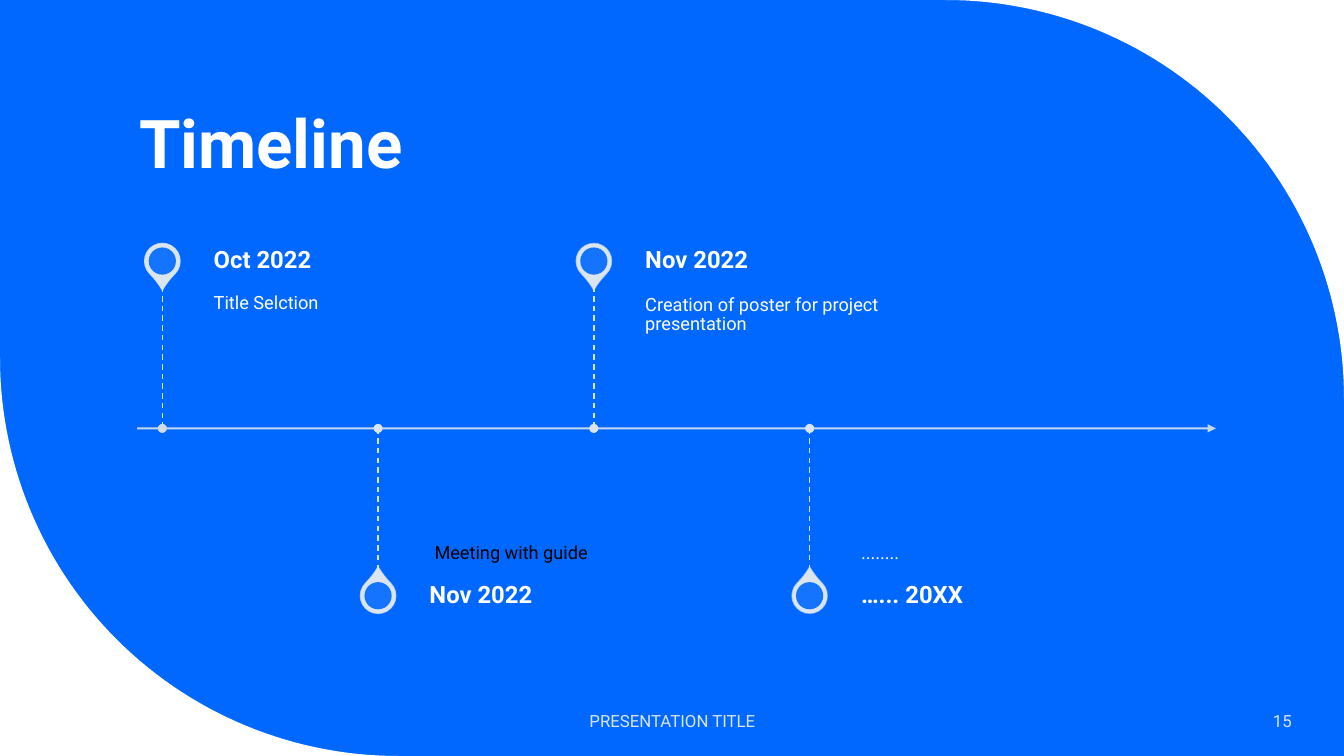
from math import cos, sin, pi
from lxml.etree import SubElement as Sub
from pptx import Presentation
from pptx.dml.color import RGBColor
from pptx.enum.dml import MSO_LINE as Dash
from pptx.enum.shapes import MSO_CONNECTOR as Conn, MSO_SHAPE as Kind
from pptx.enum.text import MSO_ANCHOR as Anchor, PP_ALIGN as Align
from pptx.oxml.ns import qn
from pptx.util import Inches as In, Pt

BLUE, PALE, WHITE = "0068FF", "DAE5EF", "FFFFFF"
WIDE, HIGH = 13.33, 7.5
AXIS, STEM, ROW = 4.25, 1.41, 0.5


def paint(fill, tone, alpha=100):
    fill.solid()
    fill.fore_color.rgb = RGBColor.from_string(tone)
    if alpha < 100:
        node = next(fill.fore_color._xFill.iter(qn("a:srgbClr")))
        Sub(node, qn("a:alpha")).set("val", str(alpha * 1000))


def write(box, text, size, tone, bold=False, anchor=Anchor.MIDDLE,
          align=Align.LEFT, inset=(0.1, 0.05, 0.1, 0.05), lead=0.9):
    frame = box.text_frame
    frame.word_wrap = True
    frame.vertical_anchor = anchor
    frame.margin_left, frame.margin_top, frame.margin_right, frame.margin_bottom = map(In, inset)
    para = frame.paragraphs[0]
    para.alignment = align
    para.line_spacing = lead
    run = para.add_run()
    run.text = text
    run.font.name = "Roboto"
    run.font.size = Pt(size)
    run.font.bold = bold
    paint(run.font.fill, tone)


deck = Presentation()
deck.slide_width, deck.slide_height = In(WIDE), In(HIGH)
slide = deck.slides.add_slide(deck.slide_layouts[5])
shapes = slide.shapes
paint(slide.background.fill, BLUE)

arc = 3.95
turns = [pi / 2 * i / 60 for i in range(61)]
for x, y, side in [(WIDE, 0, 1), (0, HIGH, -1)]:
    curve = [(x - side * arc * (1 - sin(t)), y + side * arc * (1 - cos(t))) for t in turns]
    pen = shapes.build_freeform(In(x), In(y), scale=1.0)
    pen.add_line_segments([(In(a), In(b)) for a, b in curve], close=True)
    corner = pen.convert_to_shape()
    corner.shadow.inherit = False
    paint(corner.fill, WHITE)
    corner.line.fill.background()

title = shapes.title
title.left, title.top, title.width, title.height = map(In, (1.28, 0.42, 10.69, 1.45))
write(title, "Timeline", 48, WHITE, True, Anchor.BOTTOM)

steps = [
    ("Oct 2022", "Title Selction", WHITE, 90, "D0DBE4", 0),
    ("Nov 2022", "Meeting with guide", "000000", 77, PALE, 0.05),
    ("Nov 2022", "Creation of poster for project presentation", WHITE, 63, PALE, 0),
    ("…... 20XX", "........", WHITE, 50, PALE, 0),
]
lines = [(1.36, AXIS, 12.06, AXIS)]
for i in range(len(steps)):
    mid = 1.61 + 2.14 * i
    ends = (AXIS, AXIS + STEM) if i % 2 else (AXIS - STEM, AXIS)
    lines.append((mid, ends[0], mid, ends[1]))

for i, ends in enumerate(lines):
    link = shapes.add_connector(Conn.STRAIGHT, *map(In, ends))
    link.line.width = Pt(1 if i else 1.5)
    paint(link.line.fill, PALE, 100 if i else 90)
    if i:
        link.line.dash_style = Dash.DASH
    else:
        Sub(link.line._get_or_add_ln(), qn("a:tailEnd")).set("type", "triangle")
    Sub(link._element.spPr, qn("a:effectLst"))

for i, (date, note, tone, alpha, spot, pad) in enumerate(steps):
    low = i % 2
    mid = lines[i + 1][0]
    head = AXIS + STEM if low else AXIS - STEM - ROW
    hub = head + ROW / 2
    parts = [
        (Kind.TEAR, hub, 0.35, PALE, 100),
        (Kind.OVAL, hub, 0.27, BLUE, 90),
        (Kind.OVAL, AXIS, 0.09, spot, 100),
    ]
    for kind, y, size, hue, clear in parts:
        mark = shapes.add_shape(kind, In(mid - size / 2), In(y - size / 2), In(size), In(size))
        mark.shadow.inherit = False
        paint(mark.fill, hue, clear)
        if kind == Kind.TEAR:
            mark.adjustments[0] = 1.15
            mark.rotation = 315 if low else 135
            mark.line.width = Pt(1)
            paint(mark.line.fill, PALE, alpha)
        else:
            mark.line.fill.background()

    left = mid + 0.51
    top = AXIS if low else AXIS - STEM
    box = shapes.add_textbox(In(left), In(top), In(3.03), In(STEM))
    inset = (pad, 0.14, 0, 0.09) if low else (0, 0.09, 0.09, 0.14)
    write(box, note, 13, tone, anchor=Anchor.BOTTOM if low else Anchor.TOP, inset=inset)
    box = shapes.add_textbox(In(left), In(head), In(3.03), In(ROW))
    write(box, date, 17, WHITE, True, inset=(0, 0, 0.12, 0))

for left, width, text, align in [
    (4.42, 4.5, "PRESENTATION TITLE", Align.CENTER),
    (11.1, 1.81, "15", Align.RIGHT),
]:
    box = shapes.add_textbox(In(left), In(6.95), In(width), In(0.4))
    write(box, text, 12, PALE, align=align, lead=1.0)

deck.save("out.pptx")
